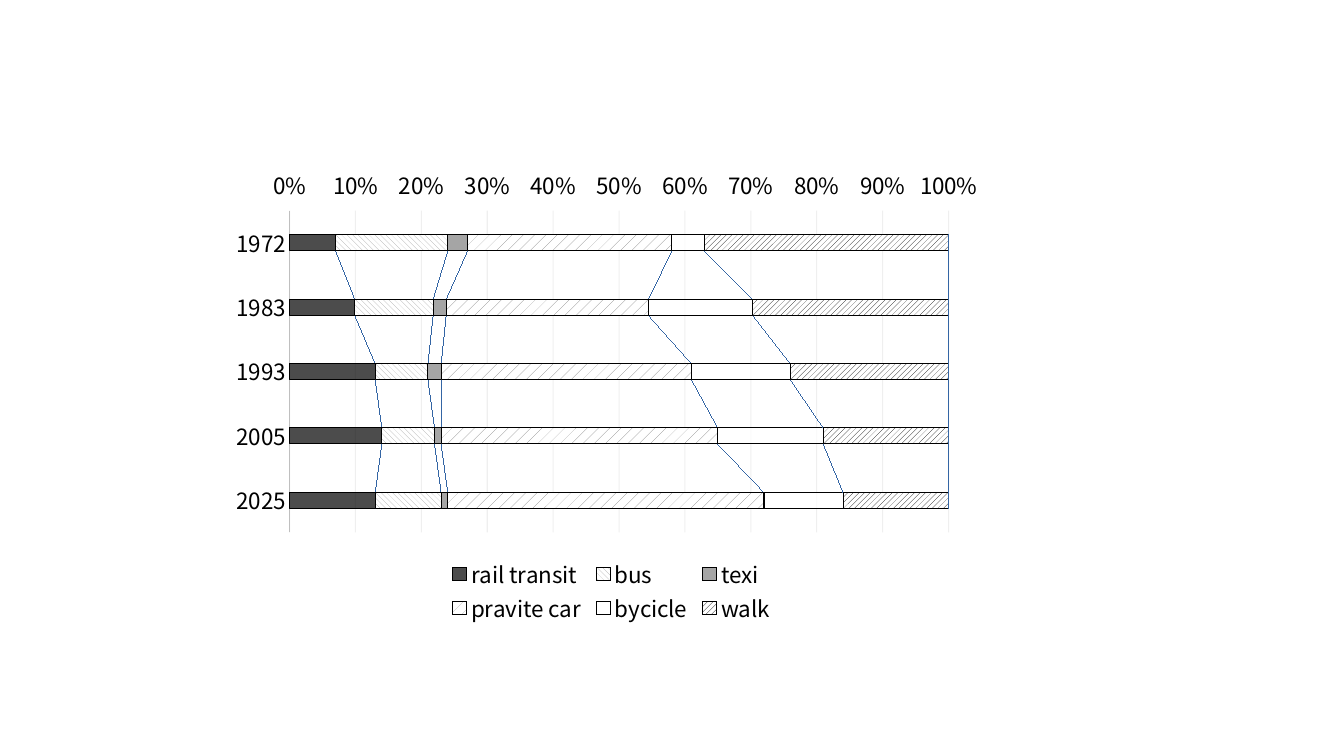
from lxml.etree import SubElement
from pptx import Presentation
from pptx.chart.data import CategoryChartData
from pptx.dml.color import RGBColor
from pptx.enum.chart import XL_CHART_TYPE as ChartType
from pptx.enum.chart import XL_LEGEND_POSITION as LegendPosition
from pptx.enum.chart import XL_TICK_MARK as TickMark
from pptx.enum.dml import MSO_PATTERN as Pattern
from pptx.oxml import parse_xml
from pptx.oxml.ns import nsdecls, qn
from pptx.util import Inches, Pt

BLACK = RGBColor(0x00, 0x00, 0x00)
WHITE = RGBColor(0xFF, 0xFF, 0xFF)
GRAY = RGBColor(0x80, 0x80, 0x80)
HATCH_GRAY = RGBColor(0xA6, 0xA6, 0xA6)
AXIS_GRAY = RGBColor(0xBF, 0xBF, 0xBF)
GRID_GRAY = RGBColor(0xD9, 0xD9, 0xD9)
LINK_BLUE = RGBColor(0x34, 0x65, 0xA4)
FONT = "Noto Sans CJK SC"
LINE_WIDTH = Pt(0.75)

# Content: share of trips by mode, as (name, values, colour, pattern or None)
YEARS = ["1972", "1983", "1993", "2005", "2025"]
MODES = [
    ("rail transit", (7, 10, 13, 14, 13), BLACK, None),
    ("bus", (17, 12, 8, 8, 10), HATCH_GRAY, Pattern.WIDE_DOWNWARD_DIAGONAL),
    ("texi", (3, 2, 2, 1, 1), GRAY, None),
    ("pravite car", (31, 31, 38, 42, 48), GRAY, Pattern.PERCENT_10),
    ("bycicle", (5, 16, 15, 16, 12), WHITE, None),
    ("walk", (37, 30, 24, 19, 16), BLACK, Pattern.WIDE_UPWARD_DIAGONAL),
]

# Places: chart in inches, its parts as shares of the chart
CHART_BOX = (2.18, 1.58, 7.69, 4.63)
PLOT_SHARE = (0.09, 0.11, 0.85, 0.69)
LEGEND_SHARE = (0.29, 0.85, 0.43, 0.15)


def set_font(font, size):
    font.name = FONT
    font.size = Pt(size)
    font.color.rgb = BLACK


def set_line(line, color):
    line.color.rgb = color
    line.width = LINE_WIDTH


def set_opacity(properties, percent):
    for color in properties.iter(qn("a:srgbClr")):
        SubElement(color, qn("a:alpha")).set("val", str(percent * 1000))


def manual_layout(share, inner=False):
    target = '<c:layoutTarget val="inner"/>' if inner else ""
    modes = '<c:xMode val="edge"/><c:yMode val="edge"/>'
    sizes = "".join(f'<c:{key} val="{part}"/>' for key, part in zip("xywh", share))
    return parse_xml(f'<c:layout {nsdecls("c")}><c:manualLayout>{target}{modes}{sizes}'
                     "</c:manualLayout></c:layout>")


presentation = Presentation()
presentation.slide_width, presentation.slide_height = Inches(13.33), Inches(7.5)
slide = presentation.slides.add_slide(presentation.slide_layouts[6])

# Chart
data = CategoryChartData()
data.categories = YEARS
for name, values, _, _ in MODES:
    data.add_series(name, values)
chart = slide.shapes.add_chart(
    ChartType.BAR_STACKED_100, *map(Inches, CHART_BOX), data).chart
chart.has_title = False
set_font(chart.font, 10)

# Bars
plot = chart.plots[0]
plot.gap_width, plot.overlap = 300, 100
plot.vary_by_categories = False
for series, (_, _, color, pattern) in zip(plot.series, MODES):
    fill = series.format.fill
    if pattern is None:
        fill.solid()
        fill.fore_color.rgb = color
        set_opacity(series.format.fill._xPr, 70)
    else:
        fill.patterned()
        fill.pattern = pattern
        fill.fore_color.rgb, fill.back_color.rgb = color, WHITE
    set_line(series.format.line, BLACK)

# Lines that link the bars
bar_chart = chart.plots[0]._element
bar_chart.find(qn("c:overlap")).addnext(parse_xml(
    f'<c:serLines {nsdecls("c", "a")}><c:spPr><a:ln w="{LINE_WIDTH}"><a:solidFill>'
    f'<a:srgbClr val="{LINK_BLUE}"/></a:solidFill></a:ln></c:spPr></c:serLines>'))

# Axes
year_axis, share_axis = chart.category_axis, chart.value_axis
year_axis.reverse_order = True
year_axis.major_tick_mark = TickMark.NONE
set_line(year_axis.format.line, AXIS_GRAY)
share_axis.major_tick_mark = TickMark.OUTSIDE
share_axis.major_unit = 0.1
share_axis.format.line.fill.background()
share_axis.has_major_gridlines = True
gridlines = share_axis.major_gridlines.format.line
set_line(gridlines, GRID_GRAY)
set_opacity(share_axis._element.find(qn("c:majorGridlines")), 40)
share_axis.tick_labels.number_format = "0%"
share_axis.tick_labels.number_format_is_linked = False
for axis in (year_axis, share_axis):
    set_font(axis.tick_labels.font, 16)

# Legend
chart.has_legend = True
legend = chart.legend
legend.position = LegendPosition.BOTTOM
legend.include_in_layout = False
set_font(legend.font, 16)

# Places of the plot and the legend
plot_area = bar_chart.getparent()
for old_layout in plot_area.findall(qn("c:layout")):
    plot_area.remove(old_layout)
plot_area.insert(0, manual_layout(PLOT_SHARE, inner=True))
for old_layout in legend._element.findall(qn("c:layout")):
    legend._element.remove(old_layout)
legend._element.find(qn("c:legendPos")).addnext(manual_layout(LEGEND_SHARE))

presentation.save("out.pptx")
